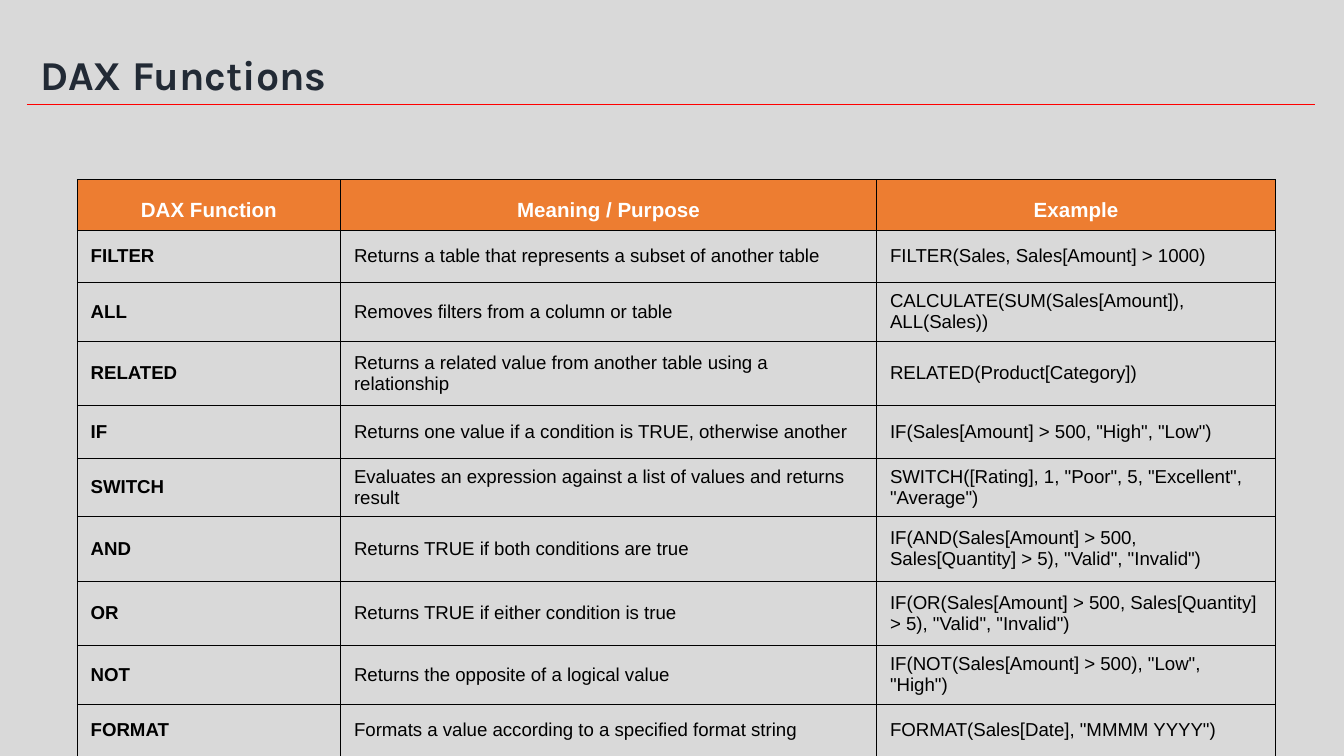
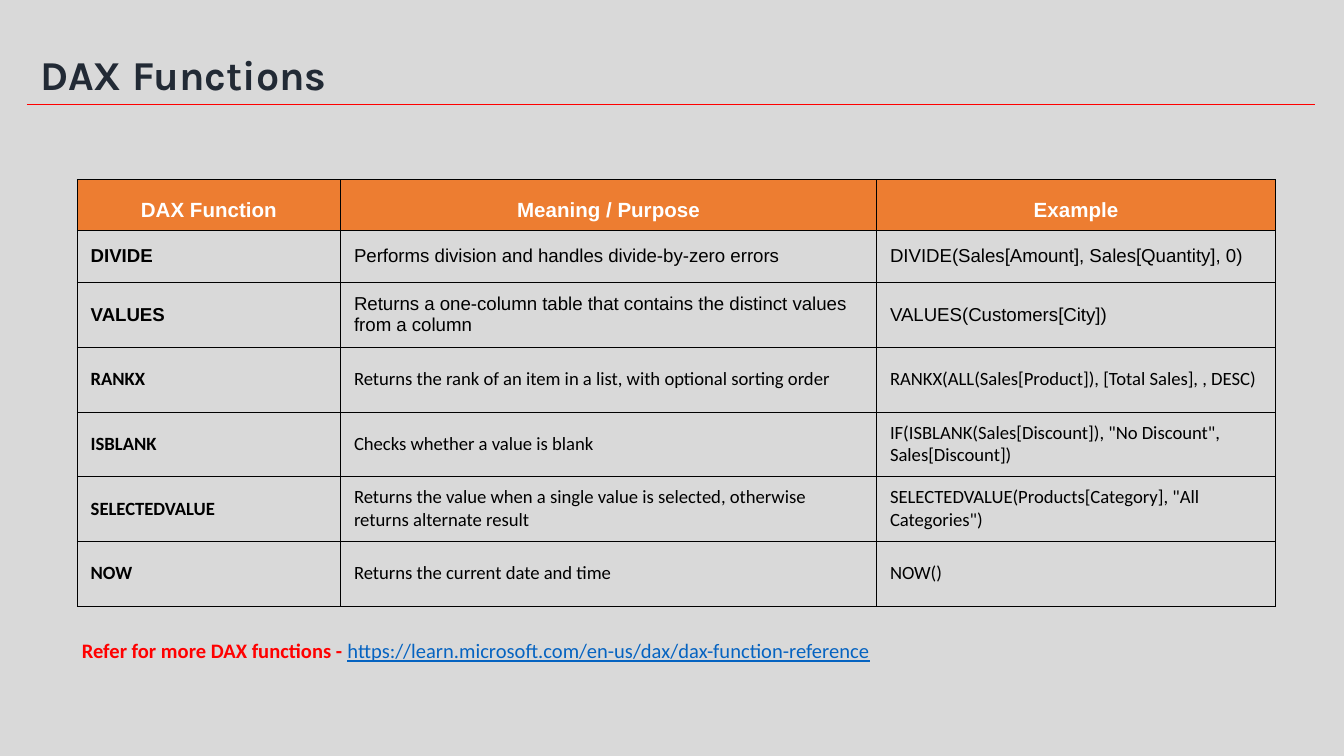
from lxml.etree import SubElement
from pptx import Presentation
from pptx.dml.color import RGBColor
from pptx.enum.shapes import MSO_CONNECTOR
from pptx.enum.text import MSO_ANCHOR, PP_ALIGN
from pptx.oxml.ns import qn
from pptx.util import Pt

GREY = RGBColor(0xD9, 0xD9, 0xD9)
NAVY = RGBColor(0x22, 0x2A, 0x35)
RED = RGBColor(0xFF, 0x00, 0x00)
ORANGE = RGBColor(0xED, 0x7D, 0x31)
BLUE = RGBColor(0x05, 0x63, 0xC1)
BLACK = RGBColor(0x00, 0x00, 0x00)
WHITE = RGBColor(0xFF, 0xFF, 0xFF)

TITLE_BOX = (14.4, 15.8, 690, 41)
TABLE_BOX = (41.4, 96.3, 642)
REFERENCE_BOX = (36.7, 338.4, 646.5, 21)
COLUMN_SHARES = (1.96, 3.99, 2.97)
HEADINGS = ("DAX Function", "Meaning / Purpose", "Example")
HEADER_HEIGHT = 15.2
LOW, MIDDLE, TALL = 21.6, 28.1, 34.65

FILTER_ROWS = [
    ("Arial", MIDDLE, "FILTER", "Returns a table that represents a subset of another table",
     "FILTER(Sales, Sales[Amount] > 1000)"),
    ("Arial", LOW, "ALL", "Removes filters from a column or table",
     "CALCULATE(SUM(Sales[Amount]), ALL(Sales))"),
    ("Arial", TALL, "RELATED", "Returns a related value from another table using a relationship",
     "RELATED(Product[Category])"),
    ("Arial", MIDDLE, "IF", "Returns one value if a condition is TRUE, otherwise another",
     'IF(Sales[Amount] > 500, "High", "Low")'),
    ("Arial", MIDDLE, "SWITCH",
     "Evaluates an expression against a list of values and returns result",
     'SWITCH([Rating], 1, "Poor", 5, "Excellent", "Average")'),
    ("Arial", TALL, "AND", "Returns TRUE if both conditions are true",
     'IF(AND(Sales[Amount] > 500, Sales[Quantity] > 5), "Valid", "Invalid")'),
    ("Arial", TALL, "OR", "Returns TRUE if either condition is true",
     'IF(OR(Sales[Amount] > 500, Sales[Quantity] > 5), "Valid", "Invalid")'),
    ("Arial", LOW, "NOT", "Returns the opposite of a logical value",
     'IF(NOT(Sales[Amount] > 500), "Low", "High")'),
    ("Arial", MIDDLE, "FORMAT", "Formats a value according to a specified format string",
     'FORMAT(Sales[Date], "MMMM YYYY")'),
]
VALUE_ROWS = [
    ("Arial", MIDDLE, "DIVIDE", "Performs division and handles divide-by-zero errors",
     "DIVIDE(Sales[Amount], Sales[Quantity], 0)"),
    ("Arial", TALL, "VALUES",
     "Returns a one-column table that contains the distinct values from a column",
     "VALUES(Customers[City])"),
    ("Calibri", TALL, "RANKX", "Returns the rank of an item in a list, with optional sorting order",
     "RANKX(ALL(Sales[Product]), [Total Sales], , DESC)"),
    ("Calibri", TALL, "ISBLANK", "Checks whether a value is blank",
     'IF(ISBLANK(Sales[Discount]), "No Discount", Sales[Discount])'),
    ("Calibri", TALL, "SELECTEDVALUE",
     "Returns the value when a single value is selected, otherwise returns alternate result",
     'SELECTEDVALUE(Products[Category], "All Categories")'),
    ("Calibri", TALL, "NOW", "Returns the current date and time", "NOW()"),
]


def set_font(font, name, size, color, bold=False):
    font.name = name
    font.size = Pt(size)
    font.color.rgb = color
    font.bold = bold


def add_text_box(slide, box):
    frame = slide.shapes.add_textbox(*map(Pt, box)).text_frame
    frame.word_wrap = True
    return frame


def add_title(slide, box, text):
    left, top, width, height = box
    bottom = Pt(top + height - 0.6)
    rule = slide.shapes.add_connector(
        MSO_CONNECTOR.STRAIGHT, Pt(left), bottom, Pt(left + width), bottom)
    rule.line.color.rgb = RED
    rule.line.width = Pt(0.5)
    SubElement(rule._element.spPr, qn("a:effectLst"))

    frame = add_text_box(slide, box)
    frame.vertical_anchor = MSO_ANCHOR.BOTTOM
    paragraph = frame.paragraphs[0]
    paragraph.text = text
    paragraph.line_spacing = 0.9
    set_font(paragraph.font, "Karla", 22, NAVY, True)


def add_borders(cell):
    properties = cell._tc.get_or_add_tcPr()
    for side in ("a:lnL", "a:lnR", "a:lnT", "a:lnB"):
        line = SubElement(properties, qn(side), w=str(Pt(0.5)))
        fill = SubElement(line, qn("a:solidFill"))
        SubElement(fill, qn("a:srgbClr"), val=str(BLACK))


def fill_cell(cell, text):
    add_borders(cell)
    cell.vertical_anchor = MSO_ANCHOR.MIDDLE
    paragraph = cell.text_frame.paragraphs[0]
    paragraph.text = text
    return paragraph


def add_function_table(slide, box, rows):
    left, top, width = box
    heights = [HEADER_HEIGHT] + [row[1] for row in rows]
    table = slide.shapes.add_table(
        len(heights), len(HEADINGS), Pt(left), Pt(top), Pt(width), Pt(sum(heights))).table
    table.horz_banding = False
    for column, share in zip(table.columns, COLUMN_SHARES):
        column.width = Pt(width * share / sum(COLUMN_SHARES))
    for table_row, height in zip(table.rows, heights):
        table_row.height = Pt(height)

    for index, heading in enumerate(HEADINGS):
        cell = table.cell(0, index)
        paragraph = fill_cell(cell, heading)
        cell.fill.solid()
        cell.fill.fore_color.rgb = ORANGE
        paragraph.alignment = PP_ALIGN.CENTER
        paragraph.line_spacing = 1.5
        set_font(paragraph.font, "Arial", 11, WHITE, True)

    for row_index, (font_name, _, *texts) in enumerate(rows, 1):
        for index, text in enumerate(texts):
            cell = table.cell(row_index, index)
            paragraph = fill_cell(cell, text)
            cell.fill.background()
            set_font(paragraph.font, font_name, 10, BLACK, index == 0)


def add_reference(slide, box, label, address):
    paragraph = add_text_box(slide, box).paragraphs[0]
    for text, color, bold in ((label, RED, True), (address, BLUE, False)):
        run = paragraph.add_run()
        run.text = text
        set_font(run.font, "Calibri", 11, color, bold)
    run.font.underline = True


def add_function_slide(presentation, rows):
    slide = presentation.slides.add_slide(presentation.slide_layouts[6])
    slide.background.fill.solid()
    slide.background.fill.fore_color.rgb = GREY
    add_title(slide, TITLE_BOX, "DAX Functions")
    add_function_table(slide, TABLE_BOX, rows)
    return slide


def main():
    presentation = Presentation()
    presentation.slide_width = Pt(720)
    presentation.slide_height = Pt(405)
    add_function_slide(presentation, FILTER_ROWS)
    slide = add_function_slide(presentation, VALUE_ROWS)
    add_reference(slide, REFERENCE_BOX, "Refer for more DAX functions - ",
                  "https://learn.microsoft.com/en-us/dax/dax-function-reference")
    presentation.save("out.pptx")


if __name__ == "__main__":
    main()
